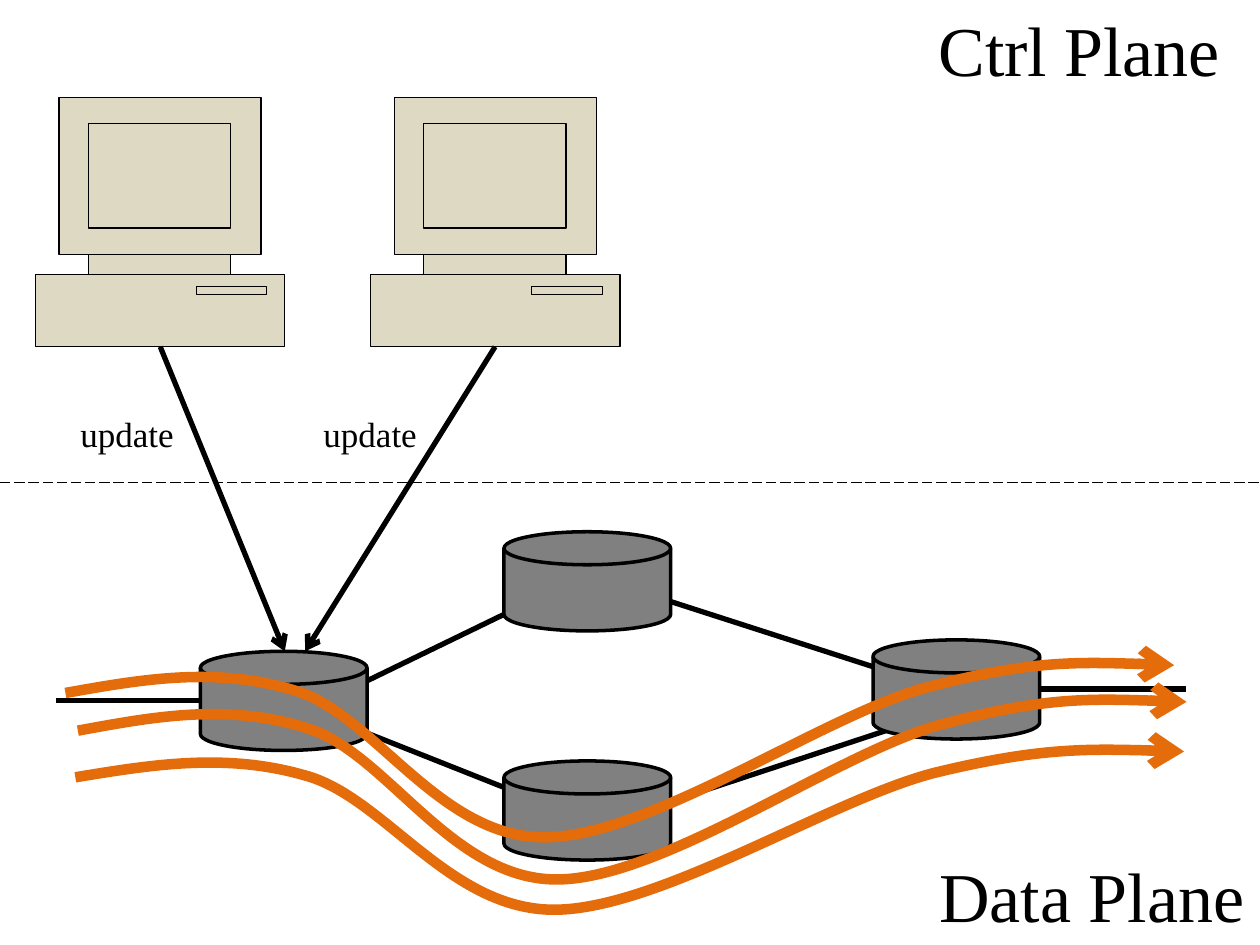
"""Build a slide of two controllers updating a switch above a data plane."""
from copy import deepcopy

from lxml.etree import SubElement
from pptx import Presentation
from pptx.dml.color import RGBColor
from pptx.enum.dml import MSO_LINE as DASH
from pptx.enum.shapes import MSO_CONNECTOR as CONN, MSO_SHAPE as SHAPE
from pptx.enum.text import MSO_AUTO_SIZE as AUTO
from pptx.oxml.ns import qn
from pptx.util import Cm, Pt

BLACK, BEIGE, GRAY, ORANGE = "000000", "DDD9C3", "808080", "E46C0A"


def rgb(code):
    return RGBColor.from_string(code)


def style_line(sp, color, width, arrow=False):
    sp.line.color.rgb = rgb(color)
    sp.line.width = Pt(width)
    if arrow:
        SubElement(sp.line._get_or_add_ln(), qn("a:tailEnd"), type="arrow")
    if sp._element.spPr.find(qn("a:effectLst")) is None:
        SubElement(sp._element.spPr, qn("a:effectLst"))


prs = Presentation()
prs.slide_width, prs.slide_height = Cm(25.4), Cm(19.05)
s = prs.slides.add_slide(prs.slide_layouts[6])
shapes = s.shapes

computer_parts = [
    (119, 196, 526, 513),
    (178, 513, 465, 554),
    (71, 554, 574, 699),
    (178, 249, 465, 460),
    (396, 577, 538, 594),
]
for dx in (0, 676):
    fb = shapes.build_freeform(dx + 119, 196, scale=Cm(0.01))
    for i, (l, t, r, b) in enumerate(computer_parts):
        if i:
            fb.move_to(dx + l, t)
        fb.add_line_segments([(dx + r, t), (dx + r, b), (dx + l, b)], close=True)
    sp = fb.convert_to_shape()
    sp.fill.solid()
    sp.fill.fore_color.rgb = rgb(BEIGE)
    style_line(sp, BLACK, 0.75)
    outline = sp._element.find(".//" + qn("a:path"))
    steps = list(outline)
    for step in steps:
        outline.remove(step)
    empty = deepcopy(outline)
    pieces = outline.getparent()
    pieces.remove(outline)
    for step in steps:
        if step.tag == qn("a:moveTo"):
            piece = deepcopy(empty)
            pieces.append(piece)
        piece.append(step)

links = [
    (3.23, 6.99, 5.74, 13.13, 3, True),
    (9.98, 6.99, 6.15, 13.13, 3, True),
    (0, 9.73, 25.4, 9.73, 0.75, False),
    (5.74, 14.53, 11.51, 11.73, 3, False),
    (19.71, 14.12, 12.29, 11.73, 3, False),
    (19.71, 14.12, 11.84, 16.71, 3, False),
    (5.74, 14.12, 12.27, 16.71, 3, False),
    (20.98, 13.89, 23.9, 13.89, 3, False),
    (1.12, 14.12, 4.04, 14.12, 3, False),
]
for *ends, width, arrow in links:
    cn = shapes.add_connector(CONN.STRAIGHT, *[Cm(v) for v in ends])
    if width < 1:
        cn.line.dash_style = DASH.LONG_DASH
    style_line(cn, BLACK, width, arrow)

for x, y in [(4.04, 13.13), (10.16, 10.72), (10.16, 15.34), (17.6, 12.9)]:
    sp = shapes.add_shape(SHAPE.FLOWCHART_MAGNETIC_DISK, Cm(x), Cm(y), Cm(3.36), Cm(2))
    sp.fill.solid()
    sp.fill.fore_color.rgb = rgb(GRAY)
    style_line(sp, BLACK, 2)

flow = [
    (0, 0), (152, -28), (302, -56), (462, -5), (622, 43), (752, 300), (965, 300),
    (1176, 300), (1521, 51), (1732, -10), (1946, -69), (2090, -64), (2235, -58),
]
for x, y, stretch in [(157, 1473, 1), (152, 1567, 0.89), (132, 1397, 0.97)]:
    points = [(x + px, y + py * stretch) for px, py in flow]
    fb = shapes.build_freeform(*points[0], scale=Cm(0.01))
    fb.add_line_segments(points[1:], close=False)
    sp = fb.convert_to_shape()
    sp.fill.background()
    style_line(sp, ORANGE, 6, True)
    curve = sp._element.find(".//" + qn("a:path"))
    corners = curve.findall(qn("a:lnTo"))
    for i in range(0, len(corners), 3):
        bezier = SubElement(curve, qn("a:cubicBezTo"))
        for corner in corners[i:i + 3]:
            bezier.append(corner[0])
            curve.remove(corner)

labels = [
    ("Ctrl Plane", 18.67, 0, 6.25, 1.96, 40),
    ("Data Plane", 18.69, 17.07, 6.73, 1.96, 40),
    ("update", 1.37, 8.2, 2.41, 1.12, 20),
    ("update", 6.27, 8.2, 2.41, 1.12, 20),
]
for text, x, y, w, h, size in labels:
    tf = shapes.add_textbox(Cm(x), Cm(y), Cm(w), Cm(h)).text_frame
    tf.word_wrap = False
    tf.auto_size = AUTO.SHAPE_TO_FIT_TEXT
    r = tf.paragraphs[0].add_run()
    r.text = text
    for name, value in {"name": "Times New Roman", "size": Pt(size)}.items():
        setattr(r.font, name, value)
    r.font.color.rgb = rgb(BLACK)

prs.save("out.pptx")
